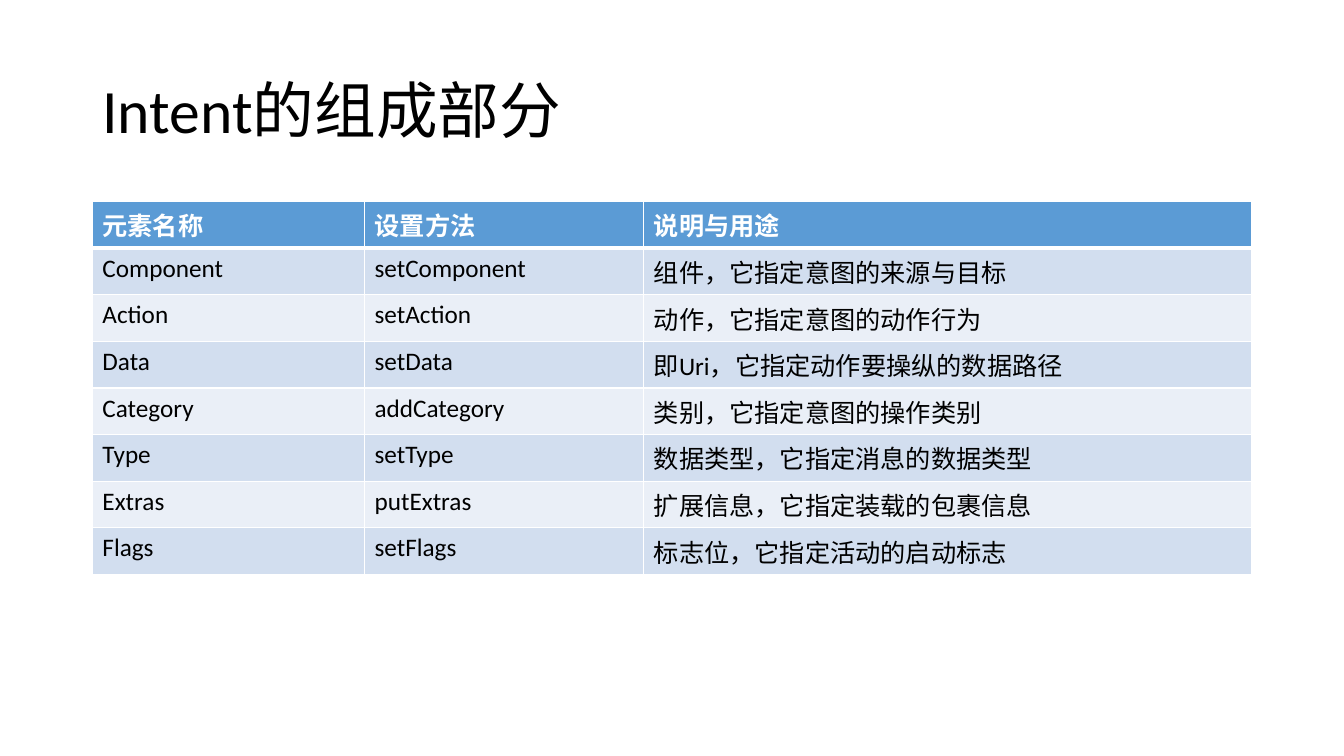
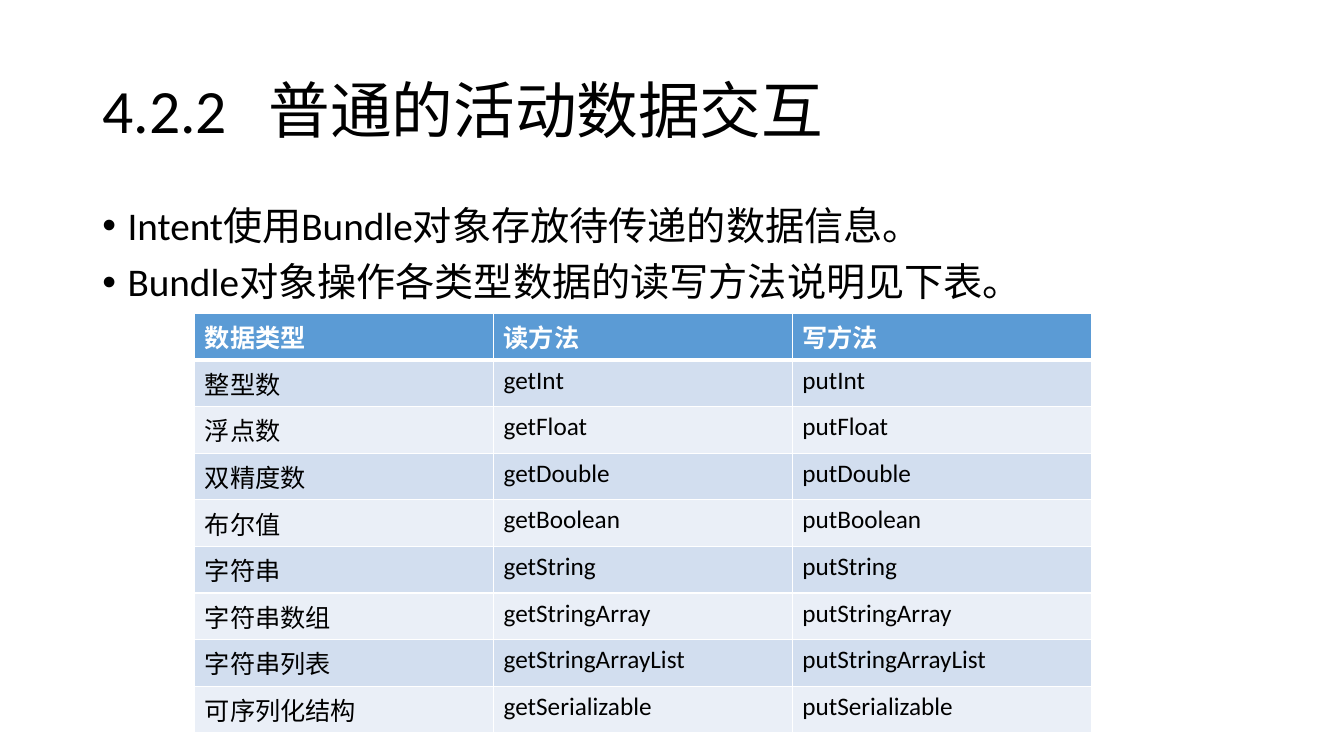
from lxml.etree import SubElement
from pptx import Presentation
from pptx.dml.color import RGBColor
from pptx.enum.text import MSO_ANCHOR as Anchor, MSO_AUTO_SIZE as AutoSize
from pptx.oxml.ns import qn
from pptx.util import Inches, Pt

# Shared grid: 160 columns by 150 rows
SLIDE_W, SLIDE_H = Inches(13.33), Inches(7.5)
COLUMNS, ROWS = 160, 150
TITLE_BOX = (11, 8, 138, 29)
BODY_BOX = (11, 40, 138, 95.2)
ROW_HEIGHT = 8.1

# Shared colours and text formats
INK, WHITE, HEADER_FILL = "000000", "FFFFFF", "5B9BD5"
BAND_FILLS = ("D2DEEF", "EAEFF7")
TITLE = {"name": "Calibri", "size": Pt(44), "color": INK}
BODY = {"name": "Calibri", "size": Pt(28), "color": INK}
CELL = {"name": "Calibri", "size": Pt(18), "color": INK, "bold": False}
HEADER = {**CELL, "color": WHITE, "bold": True}

INTENT_PARTS = [
    ("元素名称", "设置方法", "说明与用途"),
    ("Component", "setComponent", "组件，它指定意图的来源与目标"),
    ("Action", "setAction", "动作，它指定意图的动作行为"),
    ("Data", "setData", "即Uri，它指定动作要操纵的数据路径"),
    ("Category", "addCategory", "类别，它指定意图的操作类别"),
    ("Type", "setType", "数据类型，它指定消息的数据类型"),
    ("Extras", "putExtras", "扩展信息，它指定装载的包裹信息"),
    ("Flags", "setFlags", "标志位，它指定活动的启动标志"),
]
BUNDLE_POINTS = [
    "Intent使用Bundle对象存放待传递的数据信息。",
    "Bundle对象操作各类型数据的读写方法说明见下表。",
]
BUNDLE_TYPES = [
    ("整型数", "Int"), ("浮点数", "Float"), ("双精度数", "Double"),
    ("布尔值", "Boolean"), ("字符串", "String"), ("字符串数组", "StringArray"),
    ("字符串列表", "StringArrayList"), ("可序列化结构", "Serializable"),
]
BUNDLE_METHODS = [("数据类型", "读方法", "写方法")] + [
    (label, f"get{kind}", f"put{kind}") for label, kind in BUNDLE_TYPES]


def rgb(hex_code):
    return RGBColor.from_string(hex_code)


def place(box):
    """Turn grid columns and rows into slide lengths."""
    left, top, width, height = box
    return (round(left * SLIDE_W / COLUMNS), round(top * SLIDE_H / ROWS),
            round(width * SLIDE_W / COLUMNS), round(height * SLIDE_H / ROWS))


def write(paragraph, text, style):
    run = paragraph.add_run()
    run.text = text
    for key, value in style.items():
        if key == "color":
            run.font.color.rgb = rgb(value)
        else:
            setattr(run.font, key, value)


def add_frame(slide, box, anchor):
    frame = slide.shapes.add_textbox(*place(box)).text_frame
    settings = {"word_wrap": True, "auto_size": AutoSize.NONE,
                "vertical_anchor": anchor}
    for key, value in settings.items():
        setattr(frame, key, value)
    return frame


def add_title(slide, box, text, tab_stop=None):
    heading = add_frame(slide, box, Anchor.MIDDLE).paragraphs[0]
    heading.line_spacing = 0.9
    if tab_stop:
        stops = SubElement(heading._p.get_or_add_pPr(), qn("a:tabLst"))
        SubElement(stops, qn("a:tab"), pos=str(tab_stop), algn="l")
    write(heading, text, TITLE)


def add_bullets(slide, box, points):
    frame = add_frame(slide, box, Anchor.TOP)
    for index, text in enumerate(points):
        point = frame.add_paragraph() if index else frame.paragraphs[0]
        point.line_spacing, point.space_before = 0.9, Pt(10)
        props = point._p.get_or_add_pPr()
        props.set("marL", str(Inches(0.25)))
        props.set("indent", str(-Inches(0.25)))
        SubElement(props, qn("a:buFont"), typeface="Arial")
        SubElement(props, qn("a:buChar"), char="•")
        write(point, text, BODY)


def add_borders(cell, widths):
    props = cell._tc.get_or_add_tcPr()
    for side, width in widths.items():
        line = SubElement(props, qn(f"a:ln{side}"), w=str(Pt(width)))
        fill = SubElement(line, qn("a:solidFill"))
        SubElement(fill, qn("a:srgbClr"), val=WHITE)


def add_grid(slide, corner, width, shares, records):
    left, top, full_width, full_height = place(
        (*corner, width, ROW_HEIGHT * len(records)))
    table = slide.shapes.add_table(len(records), len(shares), left, top,
                                   full_width, full_height).table
    for column, share in zip(table.columns, shares):
        column.width = round(full_width * share / sum(shares))
    for r, record in enumerate(records):
        for c, text in enumerate(record):
            cell = table.cell(r, c)
            # A thick rule parts the header from the banded rows
            add_borders(cell, {"L": 1, "R": 1, "T": 3 if r == 1 else 1,
                               "B": 3 if r == 0 else 1})
            cell.fill.solid()
            cell.fill.fore_color.rgb = rgb(
                BAND_FILLS[(r - 1) % 2] if r else HEADER_FILL)
            write(cell.text_frame.paragraphs[0], text, CELL if r else HEADER)


def intent_slide(slide):
    add_title(slide, TITLE_BOX, "Intent的组成部分")
    add_grid(slide, BODY_BOX[:2], BODY_BOX[2], (2.7, 2.77, 6.03), INTENT_PARTS)


def bundle_slide(slide):
    add_title(slide, TITLE_BOX, "4.2.2\t普通的活动数据交互", Inches(1.65))
    add_bullets(slide, BODY_BOX, BUNDLE_POINTS)
    add_grid(slide, (23.2, 62.2), 106.7, (1, 1, 1), BUNDLE_METHODS)


def main():
    deck = Presentation()
    deck.slide_width, deck.slide_height = SLIDE_W, SLIDE_H
    for build in (intent_slide, bundle_slide):
        build(deck.slides.add_slide(deck.slide_layouts[6]))
    deck.save("out.pptx")


if __name__ == "__main__":
    main()
